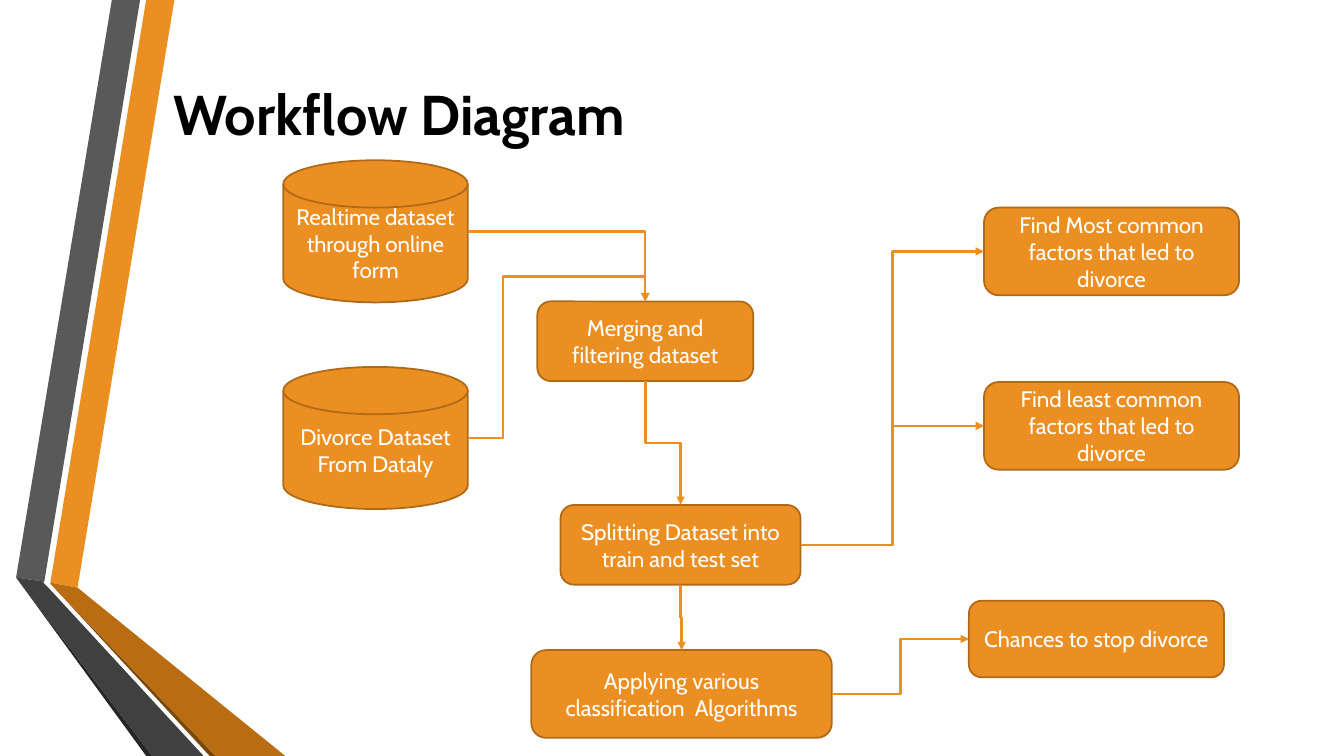
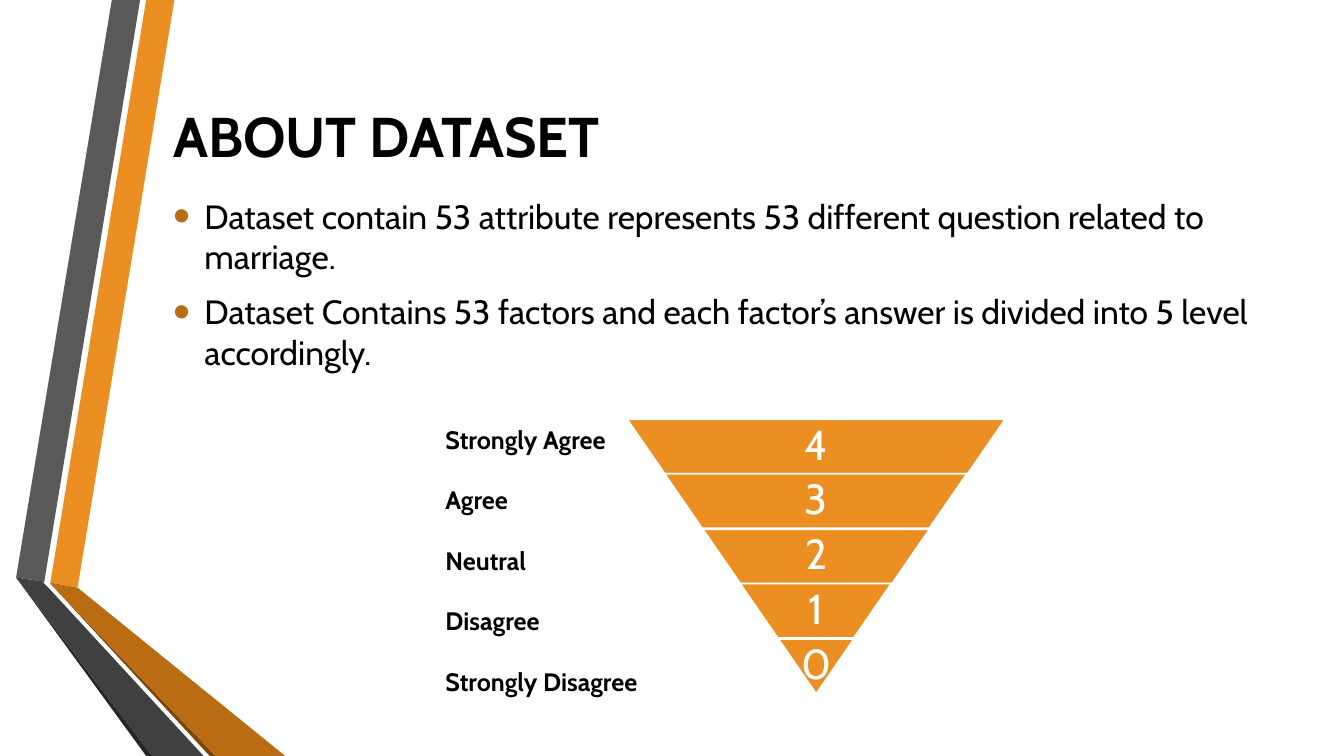
"""Build two slides: a workflow diagram and a summary of the dataset."""
from dataclasses import dataclass

from pptx import Presentation
from pptx.dml.color import RGBColor
from pptx.enum.shapes import MSO_CONNECTOR, MSO_SHAPE
from pptx.enum.text import MSO_ANCHOR, PP_ALIGN
from pptx.oxml.ns import qn
from pptx.util import Pt
from lxml.etree import SubElement

PX = 9144


@dataclass(frozen=True)
class Theme:
    font: str = "Cabin"
    main: RGBColor = RGBColor(0xEB, 0x8F, 0x22)
    edge: RGBColor = RGBColor(0xAE, 0x6A, 0x19)
    deep: RGBColor = RGBColor(0xB9, 0x6C, 0x11)
    rust: RGBColor = RGBColor(0x7B, 0x48, 0x0B)
    gray: RGBColor = RGBColor(0x59, 0x59, 0x59)
    dark: RGBColor = RGBColor(0x40, 0x40, 0x40)
    coal: RGBColor = RGBColor(0x26, 0x26, 0x26)
    ink: RGBColor = RGBColor(0, 0, 0)
    white: RGBColor = RGBColor(255, 255, 255)
    title: int = 40
    body: int = 24
    label: int = 18
    node: int = 16
    level: int = 30
    border: float = 1.25
    arrow: float = 1.75


T = Theme()

BANDS = [
    (T.main, [(50, 578), (77, 583), (173, 0), (145, 0)]),
    (T.gray, [(139, 0), (111, 0), (16, 573), (44, 577)]),
    (T.coal, [(16, 573), (145, 750), (151, 750)]),
    (T.rust, [(50, 579), (208, 750), (214, 750)]),
    (T.deep, [(50, 579), (214, 750), (283, 750), (77, 583), (50, 578)]),
    (T.dark, [(202, 750), (48, 583), (43, 578), (44, 577), (16, 573), (151, 750)]),
]


def write(shape, lines, size, color, bold=False, align=PP_ALIGN.LEFT,
          anchor=MSO_ANCHOR.MIDDLE, after=0):
    frame = shape.text_frame
    frame.word_wrap = True
    frame.vertical_anchor = anchor
    frame.text = "\n".join(lines)
    for para in frame.paragraphs:
        para.alignment = align
        para.space_after = Pt(after)
        font = para.font
        font.name, font.size, font.bold = T.font, Pt(size), bold
        font.color.rgb = color
    return frame


def start(title, top, height):
    slide = deck.slides.add_slide(deck.slide_layouts[6])
    for color, points in BANDS:
        pen = slide.shapes.build_freeform(*points[0], scale=PX)
        pen.add_line_segments(points[1:], close=True)
        band = pen.convert_to_shape()
        band.shadow.inherit = False
        band.fill.solid()
        band.fill.fore_color.rgb = color
        band.line.fill.background()
    box = slide.shapes.add_textbox(162 * PX, top * PX, 1096 * PX, height * PX)
    write(box, [title], T.title, T.ink, bold=True)
    return slide.shapes


deck = Presentation()
deck.slide_width, deck.slide_height = 1333 * PX, 750 * PX

shapes = start("Workflow Diagram", 66, 92)

DISK, ROUND = MSO_SHAPE.FLOWCHART_MAGNETIC_DISK, MSO_SHAPE.ROUNDED_RECTANGLE
NODES = {
    "archive": (DISK, 281, 364, 183, 141, ["Divorce Dataset", "From Dataly"]),
    "survey": (DISK, 281, 159, 183, 141, ["Realtime dataset through online form"]),
    "merge": (ROUND, 533, 299, 214, 79, ["Merging and filtering dataset"]),
    "split": (ROUND, 556, 501, 238, 79, ["Splitting Dataset into train and test set"]),
    "apply": (ROUND, 527, 645, 298, 87, ["Applying various classification  Algorithms"]),
    "most": (ROUND, 976, 206, 253, 87, ["Find Most common factors that led to divorce"]),
    "least": (ROUND, 976, 379, 253, 87, ["Find least common factors that led to divorce"]),
    "stop": (ROUND, 961, 596, 253, 76, ["Chances to stop divorce"]),
}
nodes = {}
for name, (kind, left, top, width, height, lines) in NODES.items():
    node = shapes.add_shape(kind, left * PX, top * PX, width * PX, height * PX)
    node.shadow.inherit = False
    node.fill.solid()
    node.fill.fore_color.rgb = T.main
    node.line.color.rgb = T.edge
    node.line.width = Pt(T.border)
    write(node, lines, T.node, T.white, align=PP_ALIGN.CENTER)
    nodes[name] = node

TOP, LEFT, BOTTOM, RIGHT = range(4)
DISK_RIGHT = 4
FLOWS = [
    ("survey", RIGHT, "merge", TOP, "bentConnector2", []),
    ("archive", RIGHT, "merge", TOP, "bentConnector4", [19700, 118300]),
    ("merge", BOTTOM, "split", TOP, "bentConnector3", []),
    ("split", RIGHT, "most", LEFT, "bentConnector3", []),
    ("split", RIGHT, "least", LEFT, "bentConnector3", []),
    ("split", BOTTOM, "apply", TOP, "bentConnector3", []),
    ("apply", RIGHT, "stop", LEFT, "bentConnector3", []),
]
for source, side, target, end, bend, turns in FLOWS:
    flow = shapes.add_connector(MSO_CONNECTOR.ELBOW, 0, 0, 0, 0)
    flow.begin_connect(nodes[source], side)
    flow.end_connect(nodes[target], end)
    flow.line.color.rgb = T.main
    flow.line.width = Pt(T.arrow)
    props = flow._element.spPr
    SubElement(props.find(qn("a:ln")), qn("a:tailEnd"), type="triangle")
    SubElement(props, qn("a:effectLst"))
    shape = props.find(qn("a:prstGeom"))
    shape.set("prst", bend)
    for count, turn in enumerate(turns, 1):
        SubElement(shape.find(qn("a:avLst")), qn("a:gd"),
                   name=f"adj{count}", fmla=f"val {turn}")
    if NODES[source][0] == DISK:
        flow._element.find(".//" + qn("a:stCxn")).set("idx", str(DISK_RIGHT))
    if side == BOTTOM:
        wide, high = flow.width, flow.height
        flow.left += (wide - high) // 2
        flow.top += (high - wide) // 2
        flow.width, flow.height = high, wide
        frame = props.find(qn("a:xfrm"))
        frame.set("rot", str(270 * 60000))
        frame.set("flipH", "1")

shapes = start("ABOUT DATASET", 75, 118)

FACTS = [
    "Dataset contain 53 attribute represents 53 different question related to marriage.",
    "Dataset Contains 53 factors and each factor’s answer is divided into 5 level accordingly.",
]
body = shapes.add_textbox(162 * PX, 189 * PX, 1096 * PX, 200 * PX)
for para in write(body, FACTS, T.body, T.ink, anchor=MSO_ANCHOR.TOP, after=10.8).paragraphs:
    props = para._p.get_or_add_pPr()
    props.set("marL", str(31 * PX))
    props.set("indent", str(-31 * PX))
    marks = [("buClr", {}), ("buSzPct", {"val": "145000"}),
             ("buFont", {"typeface": "Arial"}), ("buChar", {"char": "•"})]
    tint, *_ = [SubElement(props, qn("a:" + tag), **attrs) for tag, attrs in marks]
    SubElement(tint, qn("a:srgbClr"), val=str(T.deep))
    props.append(props.find(qn("a:defRPr")))

LEVELS = ["Strongly Agree", "Agree", "Neutral", "Disagree", "Strongly Disagree"]
STEP = 75
for row in range(len(LEVELS)):
    width = STEP * (len(LEVELS) - row)
    place = [n * PX for n in (622 + STEP * row // 2, 416 + 218 * row // 4, width, 54)]
    tier = shapes.add_shape(MSO_SHAPE.TRAPEZOID, *place)
    tier.rotation = 180
    tier.adjustments[0] = 0.69
    tier.shadow.inherit = False
    tier.fill.solid()
    tier.fill.fore_color.rgb = T.main
    tier.line.color.rgb = T.white
    tier.line.width = Pt(T.border)
    score = write(shapes.add_textbox(*place), [str(len(LEVELS) - 1 - row)],
                  T.level, T.white, align=PP_ALIGN.CENTER)
    score.margin_left = score.margin_right = 4 * PX
    score.margin_top = score.margin_bottom = 4 * PX
    score.paragraphs[0].line_spacing = 0.9

labels = shapes.add_textbox(432 * PX, 416 * PX, 246 * PX, 283 * PX)
write(labels, LEVELS, T.label, T.ink, bold=True, anchor=MSO_ANCHOR.TOP, after=21.6)

deck.save("out.pptx")
